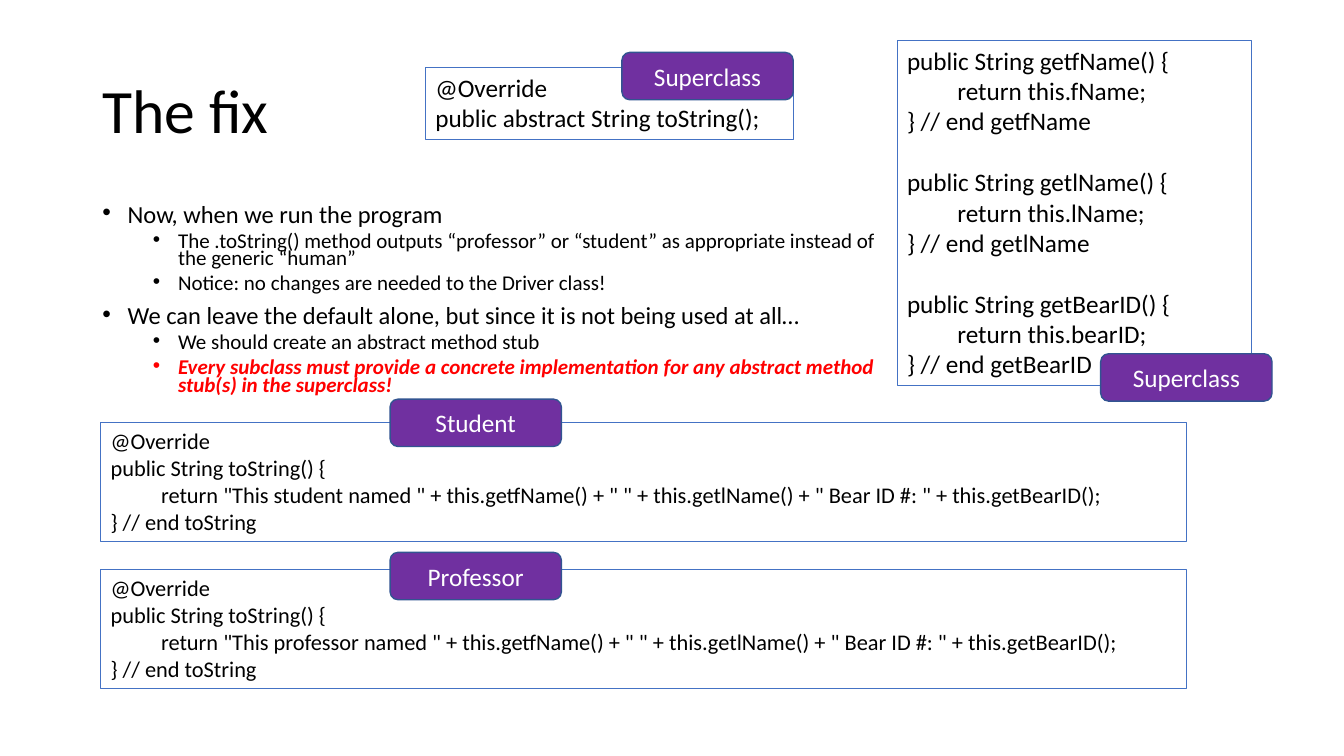
import dataclasses

import lxml.etree
import pptx
import pptx.dml.color
import pptx.enum.shapes
import pptx.enum.text
import pptx.oxml.ns
import pptx.util

ANCHOR = pptx.enum.text.MSO_ANCHOR
ALIGN = pptx.enum.text.PP_ALIGN
SHAPE = pptx.enum.shapes.MSO_SHAPE

# The slide is a grid of 80 columns and 45 rows of square cells
COLUMNS, ROWS = 80, 45
CELL = pptx.util.Inches(7.5) // ROWS


@dataclasses.dataclass(frozen=True)
class Theme:
    font: str = "Calibri"
    text: str = "000000"
    warning: str = "FF0000"
    frame: str = "4472C4"
    tag_fill: str = "7030A0"
    tag_line: str = "325491"
    tag_text: str = "FFFFFF"
    title_size: float = 44
    point_size: float = 17.5
    detail_size: float = 15
    code_size: float = 18
    small_code_size: float = 16


@dataclasses.dataclass(frozen=True)
class Box:
    """A place on the slide, in grid cells."""
    left: float
    top: float
    width: float
    height: float

    def emu(self):
        return [round(n * CELL) for n in (self.left, self.top, self.width, self.height)]

    def inner(self, left, top, width, height):
        return Box(self.left + left, self.top + top, width, height)


THEME = Theme()
TAG_SIZE = (10.2, 2.82)

POINTS = [  # level, text, is a warning
    (0, "Now, when we run the program", False),
    (1, "The .toString() method outputs “professor” or “student” as appropriate "
        "instead of the generic “human”", False),
    (1, "Notice: no changes are needed to the Driver class!", False),
    (0, "We can leave the default alone, but since it is not being used at all…", False),
    (1, "We should create an abstract method stub", False),
    (1, "Every subclass must provide a concrete implementation for any abstract "
        "method stub(s) in the superclass!", True),
]


def color(value):
    return pptx.dml.color.RGBColor.from_string(value)


def style(paragraph, size, tone=THEME.text):
    paragraph.font.name = THEME.font
    paragraph.font.size = pptx.util.Pt(size)
    paragraph.font.color.rgb = color(tone)


def indent(paragraph, left, first=0.0, bullet=None):
    props = paragraph._p.get_or_add_pPr()
    props.set("marL", str(pptx.util.Inches(left)))
    props.set("indent", str(pptx.util.Inches(first)))
    if bullet:
        mark = lxml.etree.SubElement(props, pptx.oxml.ns.qn("a:buChar"))
        mark.set("char", bullet)


def place(placeholder, box):
    placeholder.left, placeholder.top, placeholder.width, placeholder.height = box.emu()
    placeholder.text_frame.auto_size = pptx.enum.text.MSO_AUTO_SIZE.NONE


def add_paragraphs(frame, count):
    return [frame.paragraphs[0]] + [frame.add_paragraph() for _ in range(count - 1)]


def add_outlined(slide, kind, box, line, weight):
    shape = slide.shapes.add_shape(kind, *box.emu())
    shape.shadow.inherit = False
    shape.line.color.rgb = color(line)
    shape.line.width = pptx.util.Pt(weight)
    shape.text_frame.word_wrap = True
    return shape


def fill_title(slide, box, text):
    title = slide.shapes.title
    place(title, box)
    title.text_frame.vertical_anchor = ANCHOR.MIDDLE
    heading = title.text_frame.paragraphs[0]
    heading.text = text
    heading.alignment = ALIGN.LEFT
    heading.line_spacing = 0.9
    style(heading, THEME.title_size)


def fill_points(slide, box, points):
    body = slide.placeholders[1]
    place(body, box)
    paragraphs = add_paragraphs(body.text_frame, len(points))
    for paragraph, (level, text, warning) in zip(paragraphs, points):
        paragraph.text = text
        paragraph.level = level
        paragraph.line_spacing = 0.7
        paragraph.space_before = pptx.util.Pt(5 if level else 10)
        indent(paragraph, 0.25 + 0.5 * level, -0.25, "•")
        style(paragraph, THEME.detail_size if level else THEME.point_size,
              THEME.warning if warning else THEME.text)
        if warning:
            paragraph.font.bold = paragraph.font.italic = True


def add_tag(slide, box, owner):
    tag = add_outlined(slide, SHAPE.ROUNDED_RECTANGLE, box, THEME.tag_line, 1)
    tag.fill.solid()
    tag.fill.fore_color.rgb = color(THEME.tag_fill)
    tag.text_frame.vertical_anchor = ANCHOR.MIDDLE
    label = tag.text_frame.paragraphs[0]
    label.text = owner
    label.alignment = ALIGN.CENTER
    style(label, THEME.code_size, THEME.tag_text)


def add_code(slide, box, methods, size, owner, tag_at):
    """Frame some methods, one line of space apart, and tag their class."""
    panel = add_outlined(slide, SHAPE.RECTANGLE, box, THEME.frame, 0.75)
    panel.fill.background()
    panel.text_frame.vertical_anchor = ANCHOR.TOP
    lines = [(text, i > 0 and row == 0)
             for i, method in enumerate(methods) for row, text in enumerate(method)]
    paragraphs = add_paragraphs(panel.text_frame, len(lines))
    for paragraph, (text, starts_method) in zip(paragraphs, lines):
        paragraph.text = text
        paragraph.alignment = ALIGN.LEFT
        if starts_method:
            paragraph.space_before = pptx.util.Pt(1.22 * size)
        if text.startswith("return"):
            paragraph.level = 1
            indent(paragraph, 0.5)
        style(paragraph, size)
    add_tag(slide, box.inner(*tag_at, *TAG_SIZE), owner)


def getter(field):
    name = "get" + field[0].upper() + field[1:] if field == "bearID" else "get" + field
    return [f"public String {name}() {{", f"return this.{field};", f"}} // end {name}"]


def to_string(role):
    return ["@Override", "public String toString() {",
            f'return "This {role} named " + this.getfName() + " " + this.getlName()'
            ' + " Bear ID #: " + this.getBearID();',
            "} // end toString"]


def build_fix_slide(deck):
    slide = deck.slides.add_slide(deck.slide_layouts[1])
    fill_title(slide, Box(5.5, 2.4, 69, 8.7), "The fix")
    fill_points(slide, Box(5.5, 12, 47.88, 13.14), POINTS)

    # Superclass: getters and the abstract stub
    add_code(slide, Box(53.4, 2.4, 21.12, 20.58),
             [getter(field) for field in ("fName", "lName", "bearID")],
             THEME.code_size, "Superclass", (12.12, 18.66))
    add_code(slide, Box(25.32, 4.02, 21.9, 4.26),
             [["@Override", "public abstract String toString();"]],
             THEME.code_size, "Superclass", (11.7, -0.9))

    # Subclasses: concrete implementations
    for owner, top, tag_rise in (("Student", 25.14, 1.38), ("Professor", 33.9, 1.02)):
        add_code(slide, Box(6, top, 64.62, 7.08), [to_string(owner.lower())],
                 THEME.small_code_size, owner, (17.22, -tag_rise))


def main():
    deck = pptx.Presentation()
    deck.slide_width, deck.slide_height = COLUMNS * CELL, ROWS * CELL
    build_fix_slide(deck)
    deck.save("out.pptx")


if __name__ == "__main__":
    main()
